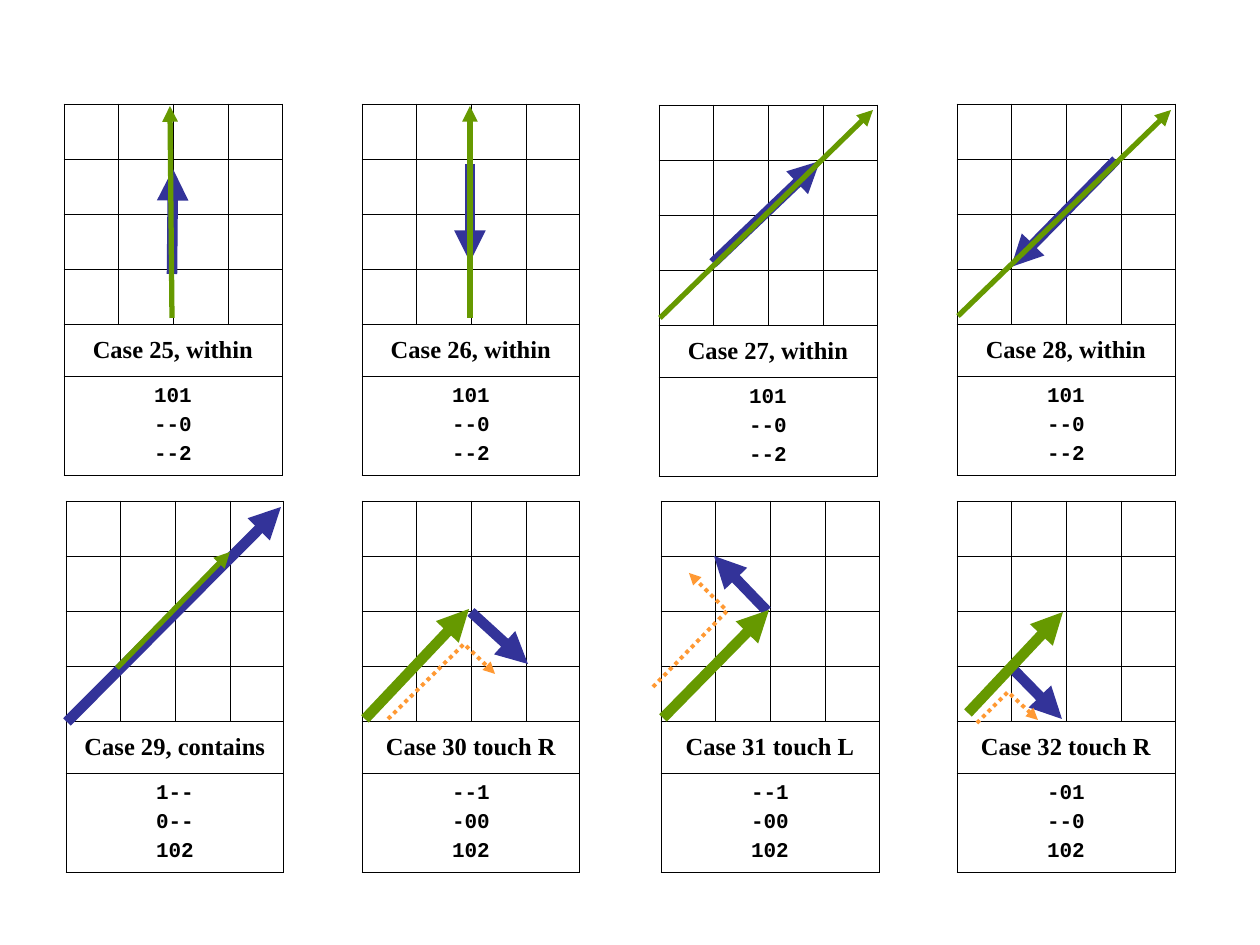
from lxml import etree
from pptx import Presentation
from pptx.dml.color import RGBColor
from pptx.enum.dml import MSO_LINE
from pptx.enum.shapes import MSO_CONNECTOR
from pptx.enum.text import MSO_ANCHOR, PP_ALIGN
from pptx.oxml.ns import qn
from pptx.util import Pt

STRAIGHT = MSO_CONNECTOR.STRAIGHT
DOTTED = MSO_LINE.ROUND_DOT
MIDDLE = MSO_ANCHOR.MIDDLE
CENTER = PP_ALIGN.CENTER

SCALE = 914400 / 126
COLORS = {"black": "000000", "blue": "333399", "green": "669900", "orange": "FF9933"}

COLS = (54, 55, 55, 54)
ROWS = (55, 55, 55, 55, 52, 100)
SIDES = ("a:lnL", "a:lnR", "a:lnT", "a:lnB")

# left, top, label, code lines
CASES = [
    (64, 104, "Case 25, within", ("101", "--0", "--2")),
    (362, 104, "Case 26, within", ("101", "--0", "--2")),
    (659, 105, "Case 27, within", ("101", "--0", "--2")),
    (957, 104, "Case 28, within", ("101", "--0", "--2")),
    (66, 501, "Case 29, contains", ("1--", "0--", "102")),
    (362, 501, "Case 30 touch R", ("--1", "-00", "102")),
    (661, 501, "Case 31 touch L", ("--1", "-00", "102")),
    (957, 501, "Case 32 touch R", ("-01", "--0", "102")),
]

# color, width in points, start and end; two per case
ARROWS = [
    ("blue", 6, (172, 274), (173, 169)),
    ("green", 3, (172, 318), (170, 106)),
    ("blue", 6, (470, 164), (470, 262)),
    ("green", 3, (470, 318), (470, 106)),
    ("blue", 6, (713, 263), (820, 161)),
    ("green", 3, (660, 318), (873, 110)),
    ("blue", 6, (1116, 160), (1011, 267)),
    ("green", 3, (958, 316), (1171, 110)),
    ("blue", 6, (67, 722), (281, 507)),
    ("green", 3, (117, 668), (230, 552)),
    ("blue", 6, (471, 612), (528, 664)),
    ("green", 6, (365, 719), (469, 609)),
    ("blue", 6, (767, 611), (714, 556)),
    ("green", 6, (663, 718), (769, 610)),
    ("blue", 6, (1009, 665), (1062, 719)),
    ("green", 6, (968, 713), (1063, 612)),
]

TURNS = [
    ((388, 719), (464, 644), (495, 674)),
    ((653, 687), (727, 611), (689, 573)),
    ((977, 723), (1008, 692), (1038, 720)),
]


def px(num):
    return round(num * SCALE)


def color(name):
    return RGBColor.from_string(COLORS[name])


def add_border(cell):
    props = cell._tc.get_or_add_tcPr()
    for side in SIDES:
        line = etree.SubElement(props, qn(side), w=str(Pt(0.45)))
        fill = etree.SubElement(line, qn("a:solidFill"))
        etree.SubElement(fill, qn("a:srgbClr"), val=COLORS["black"])


def write(cell, lines, font, size):
    cell.vertical_anchor = MIDDLE
    frame = cell.text_frame
    for i, line in enumerate(lines):
        para = frame.add_paragraph() if i else frame.paragraphs[0]
        para.alignment = CENTER
        if i:
            para.space_before = Pt(3)
        run = para.add_run()
        run.text = line
        run.font.name = font
        run.font.size = Pt(size)
        run.font.bold = True
        run.font.color.rgb = color("black")


def add_case(slide, left, top, label, code):
    """Draw a four by four grid with a label row and a code row below it."""
    frame = slide.shapes.add_table(
        len(ROWS), len(COLS), px(left), px(top), px(sum(COLS)), px(sum(ROWS)))
    table = frame.table
    table.first_row = table.horz_banding = False
    for col, width in zip(table.columns, COLS):
        col.width = px(width)
    for row, height in zip(table.rows, ROWS):
        row.height = px(height)
    for cell in table.iter_cells():
        add_border(cell)
        cell.fill.background()
    for row in (4, 5):
        table.cell(row, 0).merge(table.cell(row, 3))
    write(table.cell(4, 0), [label], "Times New Roman", 14)
    write(table.cell(5, 0), code, "Courier New", 12)


def style_line(shape, name, width):
    """Set the stroke and put an arrowhead at its end."""
    shape.line.color.rgb = color(name)
    shape.line.width = Pt(width)
    stroke = shape._element.spPr.find(qn("a:ln"))
    etree.SubElement(stroke, qn("a:tailEnd"), type="triangle")


def add_arrow(slide, name, width, start, end):
    arrow = slide.shapes.add_connector(STRAIGHT, *map(px, start + end))
    style_line(arrow, name, width)
    etree.SubElement(arrow._element.spPr, qn("a:effectLst"))


def add_turn(slide, start, *rest):
    """Draw a dotted arrow that bends on its way."""
    path = slide.shapes.build_freeform(*start, scale=SCALE)
    path.add_line_segments(rest, close=False)
    turn = path.convert_to_shape()
    turn.fill.background()
    turn.shadow.inherit = False
    turn.line.dash_style = DOTTED
    style_line(turn, "orange", 2.25)


def main():
    deck = Presentation()
    deck.slide_width, deck.slide_height = px(1260), px(945)
    slide = deck.slides.add_slide(deck.slide_layouts[6])
    for case in CASES:
        add_case(slide, *case)
    for arrow in ARROWS:
        add_arrow(slide, *arrow)
    for turn in TURNS:
        add_turn(slide, *turn)
    deck.save("out.pptx")


if __name__ == "__main__":
    main()
